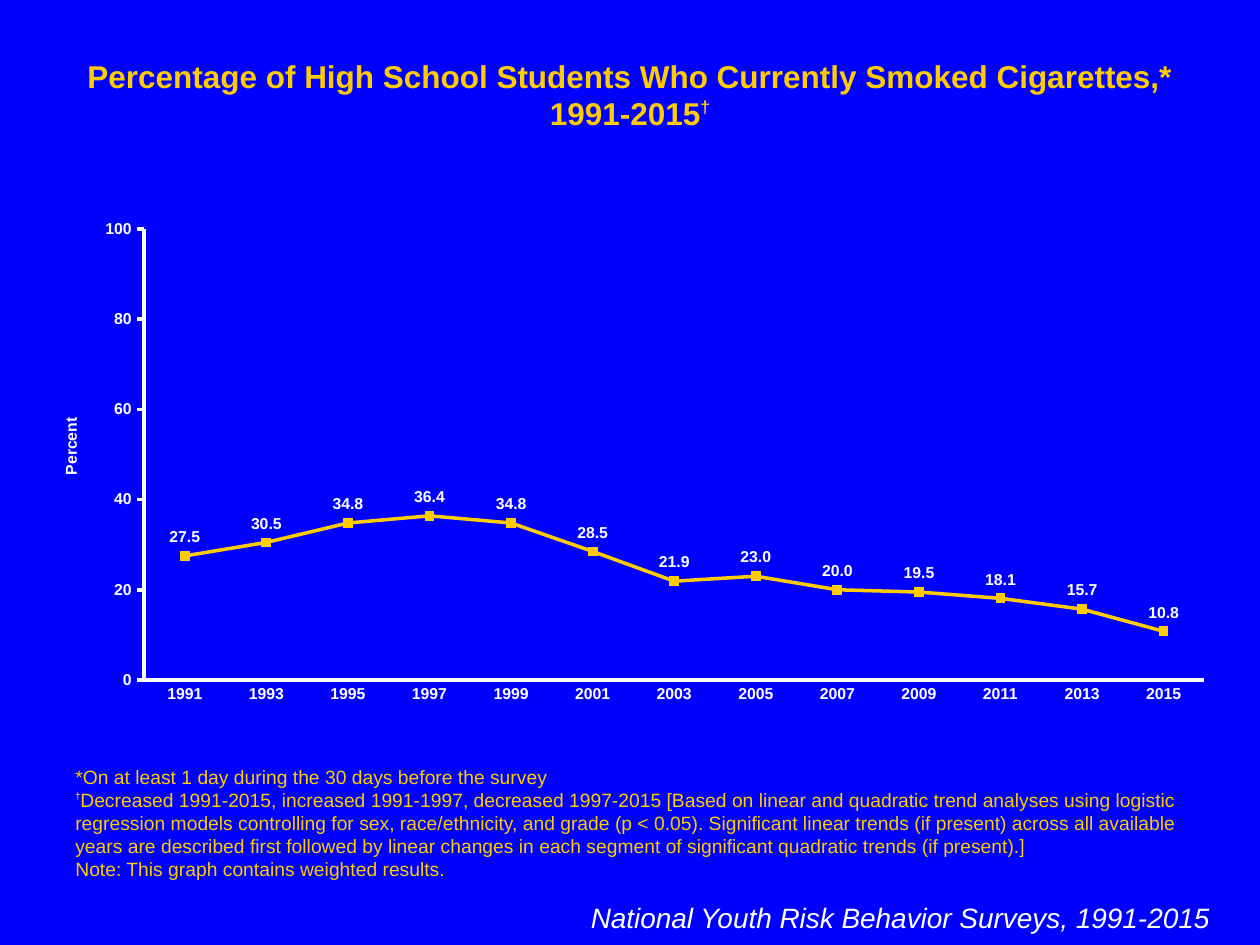
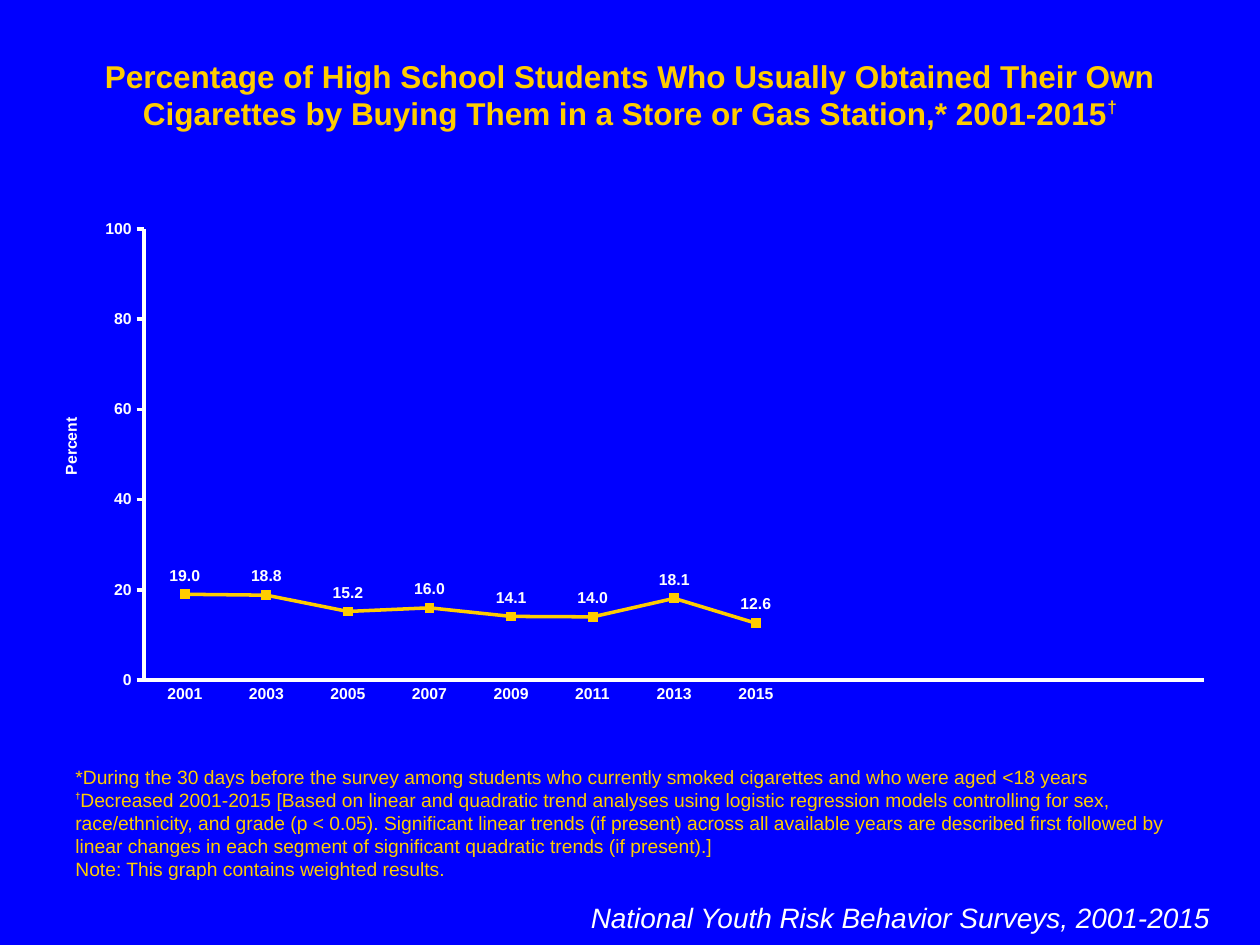
from lxml import etree
from pptx import Presentation
from pptx import util as u
from pptx.chart.data import CategoryChartData
from pptx.dml.color import RGBColor
from pptx.enum import chart as ch, text as tx
from pptx.oxml import parse_xml
from pptx.oxml.ns import nsdecls

FONT = "Arial"
COLORS = {"back": "0000FF", "gold": "FFCC00", "white": "FFFFFF"}
DAGGER = "†"
SLOTS = 13  # places along the year axis
TREND = (
    " [Based on linear and quadratic trend analyses using logistic regression "
    "models controlling for sex, race/ethnicity, and grade (p < 0.05). "
    "Significant linear trends (if present) across all available years are "
    "described first followed by linear changes in each segment of "
    "significant quadratic trends (if present).]"
)
CLOSING = "Note: This graph contains weighted results."

SURVEYS = [
    {
        "title": "Percentage of High School Students Who Currently Smoked Cigarettes,*",
        "first": 1991,
        "group": "*On at least 1 day during the 30 days before the survey",
        "change": "Decreased 1991-2015, increased 1991-1997, decreased 1997-2015",
        "rates": [27.5, 30.5, 34.8, 36.4, 34.8, 28.5, 21.9, 23.0, 20.0,
                  19.5, 18.1, 15.7, 10.8],
    },
    {
        "title": "Percentage of High School Students Who Usually Obtained Their Own "
                 "Cigarettes by Buying Them in a Store or Gas Station,*",
        "first": 2001,
        "group": "*During the 30 days before the survey among students who "
                 "currently smoked cigarettes and who were aged <18 years",
        "change": "Decreased 2001-2015",
        "rates": [19.0, 18.8, 15.2, 16.0, 14.1, 14.0, 18.1, 12.6],
    },
]


def color(name):
    return RGBColor.from_string(COLORS[name])


def style(font, size, name, bold=False, italic=False):
    font.name, font.size = FONT, u.Pt(size)
    font.bold, font.italic = bold, italic
    font.color.rgb = color(name)


def add_text(slide, box, lines, size, name, align=tx.PP_ALIGN.LEFT,
             anchor=tx.MSO_ANCHOR.TOP, bold=False, italic=False, mark=(9, 50)):
    """Write lines; each dagger is raised, with mark giving its size and rise."""
    frame = slide.shapes.add_textbox(*map(u.Inches, box)).text_frame
    frame.word_wrap = True
    frame.vertical_anchor = anchor
    for i, line in enumerate(lines):
        para = frame.add_paragraph() if i else frame.paragraphs[0]
        para.alignment = align
        before, dagger, after = line.partition(DAGGER)
        for part in filter(None, (before, dagger, after)):
            run = para.add_run()
            run.text = part
            if part == DAGGER:
                style(run.font, mark[0], name, True, italic)
                run.font._element.set("baseline", str(mark[1] * 1000))
            else:
                style(run.font, size, name, bold, italic)


def set_layout(parent, after, **places):
    """Place a chart part by fractions of the chart area."""
    target = "<c:layoutTarget val='inner'/>" if "w" in places else ""
    modes = "".join(f"<c:{k}Mode val='edge'/>" for k in places if k in "xy")
    sizes = "".join(f"<c:{k} val='{v}'/>" for k, v in places.items())
    for old in parent.findall("{*}layout"):
        parent.remove(old)
    layout = parse_xml(
        f"<c:layout {nsdecls('c')}><c:manualLayout>{target}{modes}{sizes}"
        "</c:manualLayout></c:layout>")
    if after is None:
        parent.insert(0, layout)
    else:
        after.addnext(layout)


def style_axis(axis, tick):
    axis.has_major_gridlines = False
    axis.major_tick_mark = tick
    axis.minor_tick_mark = ch.XL_TICK_MARK.NONE
    axis.format.line.color.rgb = color("white")
    axis.format.line.width = u.Pt(2)
    style(axis.tick_labels.font, 9, "white", bold=True)


def add_trend(slide, years, rates):
    data = CategoryChartData(number_format="#,##0.0")
    spare = SLOTS - len(rates)
    data.categories = [str(y) for y in years] + [""] * spare
    data.add_series("Series 1", rates + [None] * spare)
    box = map(u.Inches, (0.25, 1.67, 9.5, 4))
    chart = slide.shapes.add_chart(ch.XL_CHART_TYPE.LINE_MARKERS, *box, data).chart
    chart.has_legend = chart.has_title = False
    style(chart.font, 18, "white")
    set_layout(chart._chartSpace.chart.plotArea, None,
               x=0.094, y=0.037, w=0.886, h=0.895)

    # Axes
    style_axis(chart.category_axis, ch.XL_TICK_MARK.NONE)
    axis = chart.value_axis
    style_axis(axis, ch.XL_TICK_MARK.OUTSIDE)
    axis.minimum_scale, axis.maximum_scale, axis.major_unit = 0, 100, 20
    axis.tick_labels.number_format = "#,##0"
    axis.tick_labels.number_format_is_linked = False
    title = axis.axis_title
    title.text_frame.text = "Percent"
    style(title.text_frame.paragraphs[0].runs[0].font, 9, "white", bold=True)
    body = title._element.find(".//{*}bodyPr")
    body.set("rot", "-5400000")
    body.set("vert", "horz")
    set_layout(title._element, title._element.find("{*}tx"), x=0.022, y=0.405)

    # Line, markers and values
    plot = chart.plots[0]
    plot.vary_by_categories = False
    line = plot.series[0]
    line.smooth = False
    line.format.line.color.rgb = color("gold")
    line.format.line.width = u.Pt(2)
    line.marker.style = ch.XL_MARKER_STYLE.SQUARE
    line.marker.size = 5
    line.marker.format.fill.solid()
    line.marker.format.fill.fore_color.rgb = color("gold")
    line.marker.format.line.color.rgb = color("gold")
    labels = line.data_labels
    labels.show_value = True
    labels.position = ch.XL_LABEL_POSITION.ABOVE
    labels.number_format = "#,##0.0"
    labels.number_format_is_linked = False
    style(labels.font, 9, "white", bold=True)


def add_survey(deck, survey):
    slide = deck.slides.add_slide(deck.slide_layouts[6])
    slide.background.fill.solid()
    slide.background.fill.fore_color.rgb = color("back")
    years = [survey["first"] + 2 * i for i in range(len(survey["rates"]))]
    span = f"{years[0]}-{years[-1]}"

    add_text(slide, (0.5, 0.4, 9, 0.7), [f"{survey['title']} {span}{DAGGER}"],
             18, "gold", tx.PP_ALIGN.CENTER, bold=True, mark=(17, 40))
    notes = [survey["group"], DAGGER + survey["change"] + TREND, CLOSING]
    add_text(slide, (0.5, 6.03, 9, 1.01), notes, 11, "gold",
             anchor=tx.MSO_ANCHOR.BOTTOM)
    add_text(slide, (4.53, 7.1, 5.17, 0.37),
             [f"National Youth Risk Behavior Surveys, {span}"],
             16, "white", tx.PP_ALIGN.RIGHT, italic=True)
    add_trend(slide, years, survey["rates"])


def main():
    deck = Presentation()
    deck.slide_width, deck.slide_height = u.Inches(10), u.Inches(7.5)
    for survey in SURVEYS:
        add_survey(deck, survey)
    deck.save("out.pptx")


if __name__ == "__main__":
    main()
